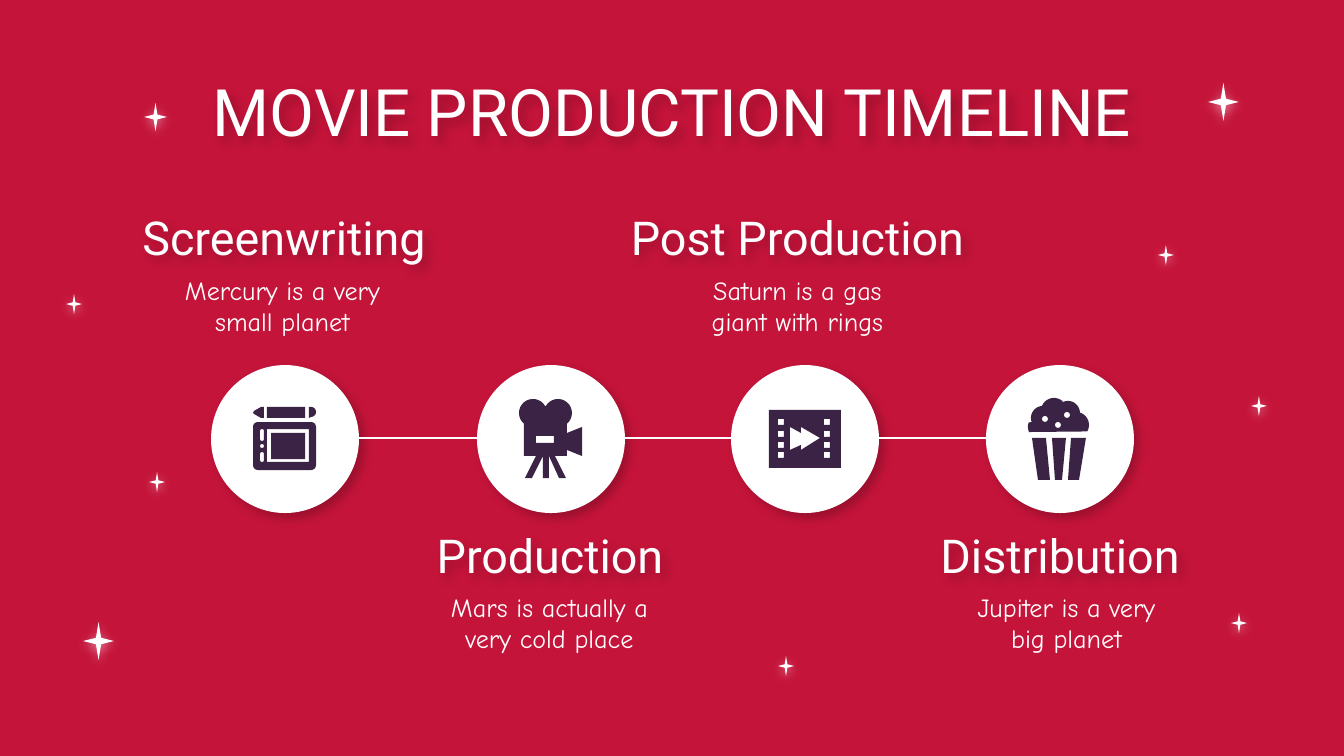
"""Build the movie production timeline slide."""
import math

import pptx
import pptx.dml.color
import pptx.enum.shapes
import pptx.enum.text
import pptx.oxml.ns
import pptx.util
from lxml import etree

PX = 6804
COLORS = {"red": "C5143A", "white": "FFFFFF", "black": "000000", "plum": "3A2345"}
RGB = {name: pptx.dml.color.RGBColor.from_string(value) for name, value in COLORS.items()}
SHAPE = pptx.enum.shapes.MSO_SHAPE
TITLE_FONT, BODY_FONT = "Roboto", "Comic Neue"


def cast_shadow(shape, color, alpha, distance, angle):
    shape.shadow.inherit = False
    effects = shape._element.spPr.find(pptx.oxml.ns.qn("a:effectLst"))
    shadow = etree.SubElement(
        effects, pptx.oxml.ns.qn("a:outerShdw"), blurRad=str(pptx.util.Pt(5.6)),
        dist=str(pptx.util.Pt(distance)), dir=str(angle * 60000),
        algn="bl", rotWithShape="0")
    tint = etree.SubElement(shadow, pptx.oxml.ns.qn("a:srgbClr"), val=COLORS[color])
    etree.SubElement(tint, pptx.oxml.ns.qn("a:alpha"), val=str(alpha * 1000))


def arc(x, y, radius, start=0, end=360):
    angles = [math.radians(start + (end - start) * step / 16) for step in range(17)]
    return [(x + radius * math.cos(a), y + radius * math.sin(a)) for a in angles]


deck = pptx.Presentation()
deck.slide_width, deck.slide_height = 1344 * PX, 756 * PX
page = deck.slides.add_slide(deck.slide_layouts[6])
page.background.fill.solid()
page.background.fill.fore_color.rgb = RGB["red"]

stars = [
    (1208, 83, 31, 38, 0), (1251, 396, 16, 20, 0), (1158, 245, 16, 20, 0),
    (1231, 613, 16, 20, 180), (83, 622, 31, 38, 180), (66, 294, 16, 20, 180),
    (149, 472, 16, 20, 180), (144, 103, 23, 28, 0), (778, 656, 16, 20, 180),
]
for left, top, width, height, rotation in stars:
    star = page.shapes.add_shape(SHAPE.STAR_4_POINT, left * PX, top * PX, width * PX, height * PX)
    star.adjustments[0] = 0.12
    star.rotation = rotation
    star.fill.solid()
    star.fill.fore_color.rgb = RGB["white"]
    star.line.fill.background()
    cast_shadow(star, "white", 50, 1.5, 90)

circle_size = 148
circle_lefts = [211, 477, 731, 986]
for left in circle_lefts:
    circle = page.shapes.add_shape(
        SHAPE.OVAL, left * PX, 365 * PX, circle_size * PX, circle_size * PX)
    circle.fill.solid()
    circle.fill.fore_color.rgb = RGB["white"]
    circle.line.fill.background()
    cast_shadow(circle, "black", 22, 3.8, 50)

for left, next_left in zip(circle_lefts, circle_lefts[1:]):
    link = page.shapes.add_connector(
        pptx.enum.shapes.MSO_CONNECTOR.STRAIGHT,
        (left + circle_size) * PX, 438 * PX, next_left * PX, 438 * PX)
    link.line.color.rgb = RGB["white"]
    link.line.width = pptx.util.Pt(1.5)
    etree.SubElement(link._element.spPr, pptx.oxml.ns.qn("a:effectLst"))

texts = [
    ("MOVIE PRODUCTION TIMELINE", 106, 78, 1133, 65, 35, TITLE_FONT),
    ("Screenwriting", 94, 207, 380, 59, 25, TITLE_FONT),
    ("Mercury is a very small planet", 164, 273, 237, 65, 14, BODY_FONT),
    ("Production", 360, 525, 380, 59, 25, TITLE_FONT),
    ("Mars is actually a very cold place", 431, 590, 237, 65, 14, BODY_FONT),
    ("Post Production", 582, 207, 431, 59, 25, TITLE_FONT),
    ("Saturn is a gas giant with rings", 679, 273, 237, 65, 14, BODY_FONT),
    ("Distribution", 870, 525, 380, 59, 25, TITLE_FONT),
    ("Jupiter is a very big planet", 948, 590, 237, 65, 14, BODY_FONT),
]
for words, left, top, width, height, size, font in texts:
    box = page.shapes.add_textbox(left * PX, top * PX, width * PX, height * PX)
    frame = box.text_frame
    frame.word_wrap = True
    frame.vertical_anchor = pptx.enum.text.MSO_ANCHOR.MIDDLE
    frame.margin_left = frame.margin_right = pptx.util.Inches(0.1)
    frame.margin_top = frame.margin_bottom = pptx.util.Inches(0.1)
    para = frame.paragraphs[0]
    para.alignment = pptx.enum.text.PP_ALIGN.CENTER
    span = para.add_run()
    span.text = words
    span.font.name = font
    span.font.size = pptx.util.Pt(size)
    span.font.color.rgb = RGB["white"]
    if font == TITLE_FONT:
        cast_shadow(box, "black", 22, 3.8, 50)

pencil = [
    [(267, 407), (305, 407), (305, 418), (267, 418)],
    [(264, 407), (261, 407), (254, 411), (253, 413), (254, 414), (261, 418), (264, 418)],
    [(309, 407), *arc(311, 412, 5, -90, 90), (309, 418)],
]
tablet = [
    arc(258, 427, 5, 180, 270) + arc(311, 427, 5, 270, 360)
    + arc(311, 465, 5, 0, 90) + arc(258, 465, 5, 90, 180),
    [(267, 429), (309, 429), (309, 462), (267, 462)],
    [(271, 433), (305, 433), (305, 459), (271, 459)],
    arc(262, 431, 2, 180, 360) + arc(262, 439, 2, 0, 180),
    arc(262, 446, 2),
    arc(262, 454, 2, 180, 360) + arc(262, 460, 2, 0, 180),
]
camera = [
    arc(533, 413, 14, 130, 330) + arc(558, 413, 14, 210, 410) + [
        (567, 433), (582, 427), (582, 456), (567, 450), (567, 456), (555, 456),
        (566, 478), (559, 478), (549, 456), (549, 478), (543, 478), (543, 456),
        (532, 478), (525, 478), (536, 456), (524, 456), (524, 425)],
    [(536, 436), (554, 436), (554, 443), (536, 443)],
]
film = [
    [(769, 410), (841, 410), (841, 468), (769, 468)],
    [(801, 427), (820, 438), (801, 450), (801, 445), (790, 450), (790, 427), (801, 433)],
] + [
    [(x, y), (x + 6, y), (x + 6, y + 6), (x, y + 6)]
    for x in (778, 824) for y in (419, 431, 442, 452)
]
popcorn = [
    arc(1041, 427, 13, 157, 200) + arc(1043, 418, 12, 160, 265)
    + arc(1054, 411, 13, 205, 310) + arc(1068, 413, 12, 245, 360)
    + arc(1076, 425, 13, 290, 390),
    arc(1067, 415, 3), arc(1045, 419, 3), arc(1058, 425, 3),
]
bucket = [
    [(1032, 438), (1046, 438), (1050, 480), (1038, 480)],
    [(1052, 438), (1066, 438), (1062, 480), (1055, 480)],
    [(1071, 438), (1086, 438), (1079, 480), (1068, 480)],
]
for contours in (pencil, tablet, camera, film, popcorn, bucket):
    scaled = [[(round(x * PX), round(y * PX)) for x, y in contour] for contour in contours]
    outline = page.shapes.build_freeform(*scaled[0][0], scale=1.0)
    outline.add_line_segments(scaled[0][1:], close=True)
    for contour in scaled[1:]:
        outline.move_to(*contour[0])
        outline.add_line_segments(contour[1:], close=True)
    icon = outline.convert_to_shape()
    icon.fill.solid()
    icon.fill.fore_color.rgb = RGB["plum"]
    icon.line.fill.background()
    icon.shadow.inherit = False

deck.save("out.pptx")
